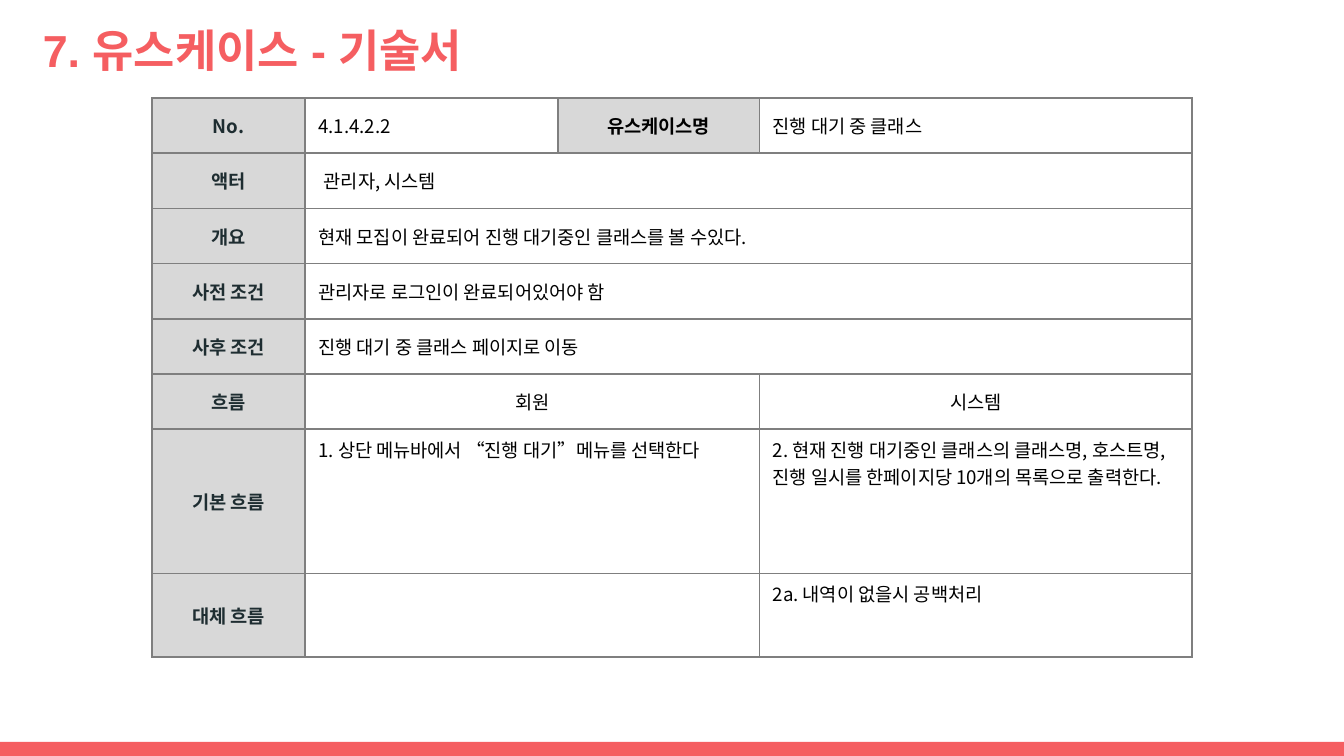
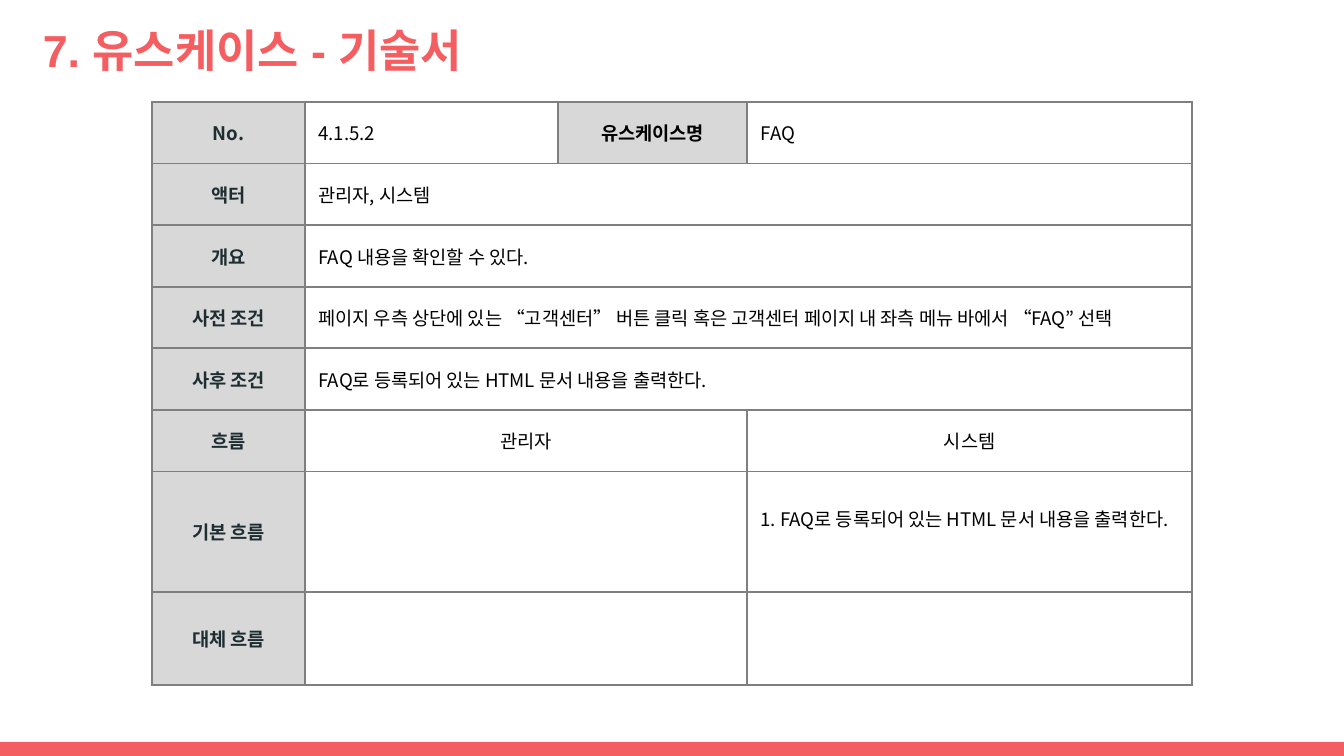
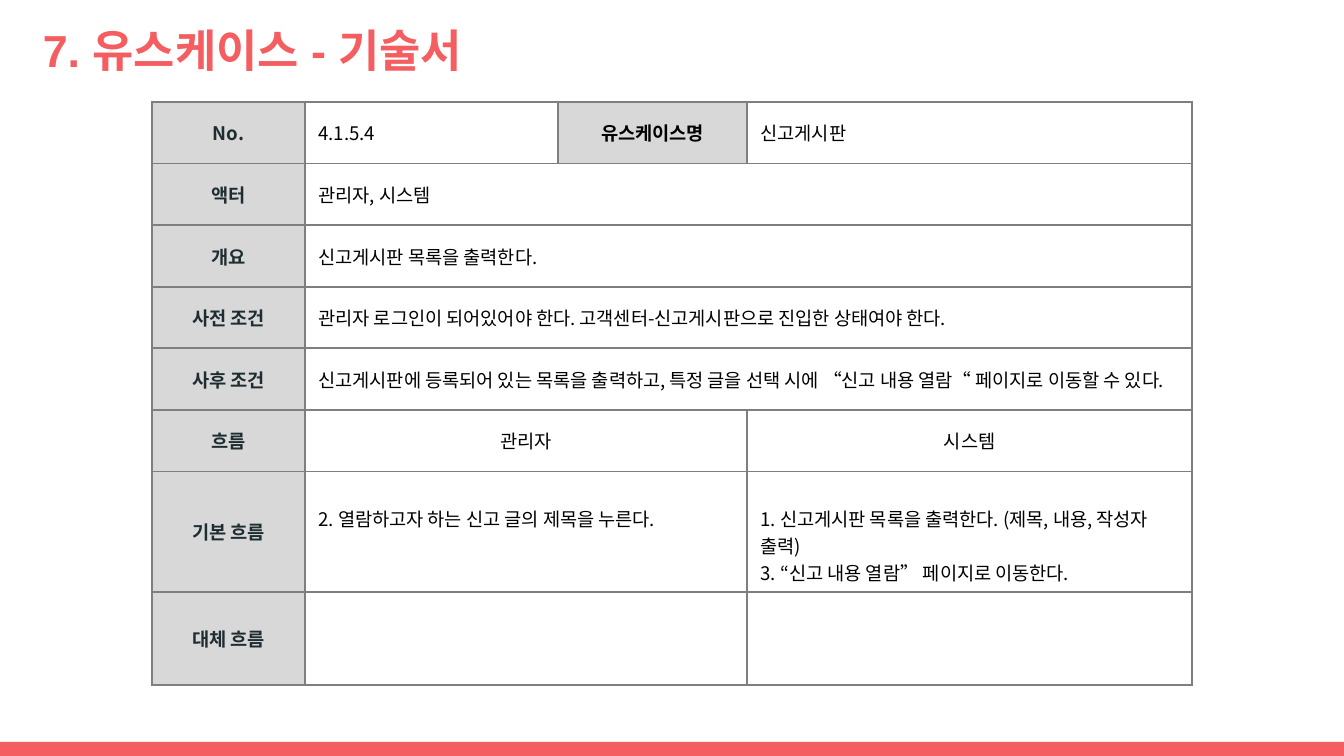
from dataclasses import dataclass
from itertools import product

from lxml import etree
from pptx import Presentation
from pptx.dml.color import RGBColor
from pptx.enum.shapes import MSO_SHAPE
from pptx.enum.text import MSO_ANCHOR, PP_ALIGN
from pptx.oxml.ns import qn
from pptx.util import Inches, Pt

RECTANGLE = MSO_SHAPE.RECTANGLE
TOP, MIDDLE = MSO_ANCHOR.TOP, MSO_ANCHOR.MIDDLE
LEFT, CENTER = PP_ALIGN.LEFT, PP_ALIGN.CENTER

# The slide is a grid of square units, 100 columns wide
COLUMNS, ROWS = 100, 56.25
TITLE = "7. 유스케이스 - 기술서"


@dataclass(frozen=True)
class Theme:
    coral: str = "F55E61"
    label_fill: str = "D8D8D8"
    label_text: str = "1E2D31"
    body_text: str = "000000"
    border: str = "7F7F7F"
    title_font: str = "Arial"
    body_font: str = "Noto Sans CJK KR"
    title_size: int = 24
    body_size: int = 10
    border_width: int = 1


@dataclass(frozen=True)
class Box:
    left: float
    top: float
    width: float
    height: float

    def place(self):
        return [units(n) for n in (self.left, self.top, self.width, self.height)]


@dataclass(frozen=True)
class SheetGrid:
    box: Box
    name_label_width: float
    field_height: float
    basic_height: float
    flow_top: float

    def column_widths(self):
        leading = [11.4, 18.8, self.name_label_width]
        return leading + [self.box.width - sum(leading)]

    def row_heights(self):
        upper = [self.field_height] * 6 + [self.basic_height]
        return upper + [self.box.height - sum(upper)]


@dataclass(frozen=True)
class UseCase:
    grid: SheetGrid
    number: str
    name: str
    fields: tuple  # actor, summary, precondition, postcondition
    user: str
    basic: tuple  # user side, system side
    alternative: tuple = ("", "")
    actor_indent: float = 0


THEME = Theme()
TITLE_BOX = Box(2.2, 0.7, 93.2, 6)
BAND_BOX = Box(0, 55.2, COLUMNS, ROWS - 55.2)
TALL_BASIC = SheetGrid(Box(11.3, 7.3, 77.4, 41.6), 15, 4.11, 10.75, 0.5)
EVEN_HALVES = SheetGrid(Box(11.3, 7.6, 77.4, 43.4), 14.1, 4.58, 9, 2.5)

FIELD_LABELS = ("액터", "개요", "사전 조건", "사후 조건")
FLOW_LABELS = ("흐름", "기본 흐름", "대체 흐름")

USE_CASES = (
    UseCase(
        TALL_BASIC, "4.1.4.2.2", "진행 대기 중 클래스",
        ("관리자, 시스템",
         "현재 모집이 완료되어 진행 대기중인 클래스를 볼 수있다.",
         "관리자로 로그인이 완료되어있어야 함",
         "진행 대기 중 클래스 페이지로 이동"),
        "회원",
        ("1. 상단 메뉴바에서 “진행 대기”메뉴를 선택한다",
         "2. 현재 진행 대기중인 클래스의 클래스명, 호스트명, "
         "진행 일시를 한페이지당 10개의 목록으로 출력한다."),
        ("", "2a. 내역이 없을시 공백처리"),
        actor_indent=0.4,
    ),
    UseCase(
        EVEN_HALVES, "4.1.5.2", "FAQ",
        ("관리자, 시스템",
         "FAQ 내용을 확인할 수 있다.",
         "페이지 우측 상단에 있는 “고객센터” 버튼 클릭 혹은 "
         "고객센터 페이지 내 좌측 메뉴 바에서 “FAQ” 선택",
         "FAQ로 등록되어 있는 HTML 문서 내용을 출력한다."),
        "관리자",
        ("", "1. FAQ로 등록되어 있는 HTML 문서 내용을 출력한다."),
    ),
    UseCase(
        EVEN_HALVES, "4.1.5.4", "신고게시판",
        ("관리자, 시스템",
         "신고게시판 목록을 출력한다.",
         "관리자 로그인이 되어있어야 한다. "
         "고객센터-신고게시판으로 진입한 상태여야 한다.",
         "신고게시판에 등록되어 있는 목록을 출력하고, 특정 글을 선택 시에 "
         "“신고 내용 열람“ 페이지로 이동할 수 있다."),
        "관리자",
        ("2. 열람하고자 하는 신고 글의 제목을 누른다.",
         "1. 신고게시판 목록을 출력한다. (제목, 내용, 작성자 출력)\n"
         "3. “신고 내용 열람” 페이지로 이동한다."),
    ),
)


def units(count):
    return Inches(count / 10)


def rgb(code):
    return RGBColor.from_string(code)


def write(frame, text, face, size, color, bold=False, align=LEFT):
    frame.text = text
    for paragraph in frame.paragraphs:
        paragraph.alignment = align
        paragraph.font.size = Pt(size)
        for run in paragraph.runs:
            run.font.name = face
            run.font.size = Pt(size)
            run.font.bold = bold
            run.font.color.rgb = rgb(color)
            east_asian = etree.SubElement(run.font._element, qn("a:ea"))
            east_asian.set("typeface", face)


def draw_borders(cell):
    properties = cell._tc.get_or_add_tcPr()
    for side in ("lnL", "lnR", "lnT", "lnB"):
        line = etree.SubElement(properties, qn(f"a:{side}"),
                                w=str(Pt(THEME.border_width)))
        fill = etree.SubElement(line, qn("a:solidFill"))
        etree.SubElement(fill, qn("a:srgbClr"), val=THEME.border)


def fill_value(cell, text, align=LEFT, anchor=MIDDLE):
    cell.vertical_anchor = anchor
    write(cell.text_frame, text, THEME.body_font, THEME.body_size,
          THEME.body_text, align=align)


def fill_label(cell, text, color=THEME.label_text):
    cell.fill.solid()
    cell.fill.fore_color.rgb = rgb(THEME.label_fill)
    cell.vertical_anchor = MIDDLE
    write(cell.text_frame, text, THEME.body_font, THEME.body_size, color,
          bold=True, align=CENTER)


def add_title(slide, box):
    frame = slide.shapes.add_textbox(*box.place()).text_frame
    frame.word_wrap = True
    frame.vertical_anchor = MIDDLE
    frame.margin_left = frame.margin_right = units(1)
    frame.margin_top = frame.margin_bottom = units(1)
    write(frame, TITLE, THEME.title_font, THEME.title_size, THEME.coral, bold=True)


def add_band(slide, box):
    band = slide.shapes.add_shape(RECTANGLE, *box.place())
    band.shadow.inherit = False
    band.fill.solid()
    band.fill.fore_color.rgb = rgb(THEME.coral)
    band.line.fill.background()


def add_empty_sheet(slide, grid):
    widths, heights = grid.column_widths(), grid.row_heights()
    sheet = slide.shapes.add_table(len(heights), len(widths),
                                   *grid.box.place()).table
    sheet.first_row = sheet.horz_banding = False
    for column, width in zip(sheet.columns, widths):
        column.width = units(width)
    for row, height in zip(sheet.rows, heights):
        row.height = units(height)
    for row, column in product(range(len(heights)), range(len(widths))):
        cell = sheet.cell(row, column)
        draw_borders(cell)
        cell.fill.background()
    return sheet


def add_use_case(slide, case):
    sheet = add_empty_sheet(slide, case.grid)

    # Number and name
    fill_label(sheet.cell(0, 0), "No.")
    fill_value(sheet.cell(0, 1), case.number)
    fill_label(sheet.cell(0, 2), "유스케이스명", THEME.body_text)
    fill_value(sheet.cell(0, 3), case.name)

    # Fields across the full width
    for row, (label, value) in enumerate(zip(FIELD_LABELS, case.fields), 1):
        fill_label(sheet.cell(row, 0), label)
        sheet.cell(row, 1).merge(sheet.cell(row, 3))
        fill_value(sheet.cell(row, 1), value)
    sheet.cell(1, 1).margin_left = units(1 + case.actor_indent)

    # Flows, the user beside the system
    flows = ((case.user, "시스템"), case.basic, case.alternative)
    first_row = 1 + len(FIELD_LABELS)
    for row, (label, sides) in enumerate(zip(FLOW_LABELS, flows), first_row):
        fill_label(sheet.cell(row, 0), label)
        sheet.cell(row, 1).merge(sheet.cell(row, 2))
        heading = row == first_row
        for column, text in zip((1, 3), sides):
            fill_value(sheet.cell(row, column), text,
                       CENTER if heading else LEFT, MIDDLE if heading else TOP)
    for column in (1, 3):
        sheet.cell(first_row + 1, column).margin_top = units(case.grid.flow_top)


def main():
    deck = Presentation()
    deck.slide_width, deck.slide_height = units(COLUMNS), units(ROWS)
    blank = deck.slide_layouts[6]
    for case in USE_CASES:
        slide = deck.slides.add_slide(blank)
        add_band(slide, BAND_BOX)
        add_title(slide, TITLE_BOX)
        add_use_case(slide, case)
    deck.save("out.pptx")


if __name__ == "__main__":
    main()
